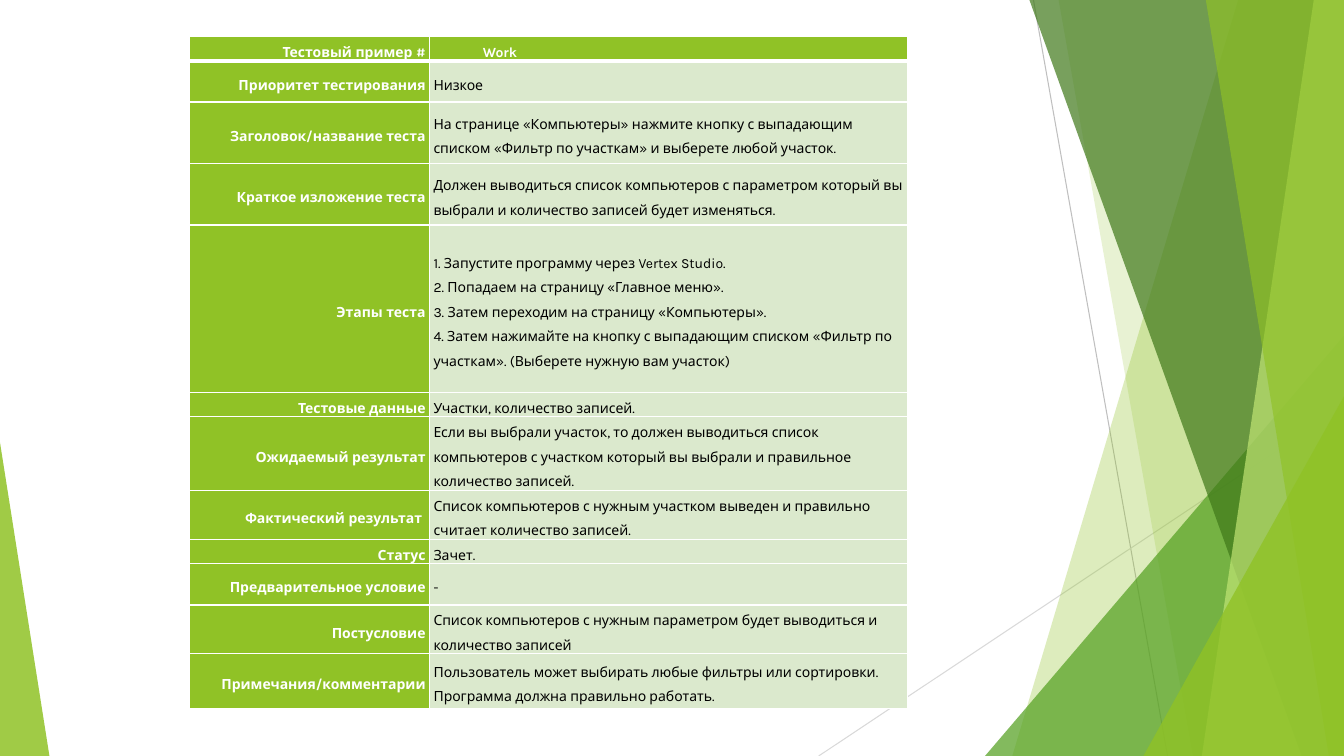
from lxml.etree import SubElement
from pptx import Presentation
from pptx.dml.color import RGBColor
from pptx.enum.shapes import MSO_CONNECTOR as CONNECTOR, MSO_SHAPE as SHAPE
from pptx.enum.text import MSO_ANCHOR as ANCHOR, PP_ALIGN as ALIGN
from pptx.oxml.ns import qn
from pptx.util import Inches, Pt

WIDTH, HEIGHT = 13.33, 7.5
COLORS = {
    "green": "90C226", "leaf": "54A021", "forest": "3F7819", "lime": "C0E474",
    "pale": "DBE9CD", "white": "FFFFFF", "black": "000000",
    "gray": "BFBFBF", "silver": "D9D9D9",
}
LABEL = {"fill": "green", "color": "white", "bold": True, "align": ALIGN.RIGHT, "indent": 0.17}
HEADER = {"fill": "green", "color": "white", "bold": True, "align": ALIGN.LEFT, "indent": 0.49}
VALUE = {"fill": "pale", "color": "black", "bold": False, "align": ALIGN.LEFT, "indent": 0}
CELL_FORMAT = {
    "vertical_anchor": ANCHOR.MIDDLE, "margin_left": Inches(0.04),
    "margin_right": Inches(0.04), "margin_top": 0, "margin_bottom": 0,
}
COLUMN_WIDTHS = [2.38, 4.74]
TEST_CASE = [
    (0.21, "Тестовый пример #", "Work"),
    (0.41, "Приоритет тестирования", "Низкое"),
    (0.61, "Заголовок/название теста",
     "На странице «Компьютеры» нажмите кнопку с выпадающим списком "
     "«Фильтр по участкам» и выберете любой участок."),
    (0.61, "Краткое изложение теста",
     "Должен выводиться список компьютеров с параметром который вы выбрали "
     "и количество записей будет изменяться."),
    (1.66, "Этапы теста",
     "1. Запустите программу через Vertex Studio.\n"
     "2. Попадаем на страницу «Главное меню».\n"
     "3. Затем переходим на страницу «Компьютеры».\n"
     "4. Затем нажимайте на кнопку с выпадающим списком «Фильтр по участкам». "
     "(Выберете нужную вам участок)"),
    (0.21, "Тестовые данные", "Участки, количество записей."),
    (0.61, "Ожидаемый результат",
     "Если вы выбрали участок, то должен выводиться список компьютеров "
     "с участком который вы выбрали и правильное количество записей."),
    (0.41, "Фактический результат ",
     "Список компьютеров с нужным участком выведен и правильно считает "
     "количество записей."),
    (0.21, "Статус", "Зачет."),
    (0.41, "Предварительное условие", "-"),
    (0.41, "Постусловие",
     "Список компьютеров с нужным параметром будет выводиться и количество записей"),
    (0.54, "Примечания/комментарии",
     "Пользователь может выбирать любые фильтры или сортировки. "
     "Программа должна правильно работать."),
]


def rgb(name):
    """Return the named colour."""
    return RGBColor.from_string(COLORS[name])


def paint(shape, color, opacity):
    """Give a shape a translucent fill without outline or shadow."""
    shape.shadow.inherit = False
    shape.line.fill.background()
    shape.fill.solid()
    shape.fill.fore_color.rgb = rgb(color)
    tint = shape.fill._xPr.find(qn("a:solidFill"))[0]
    SubElement(tint, qn("a:alpha"), val=str(opacity * 1000))


def add_line(slide, start, end, color):
    """Draw a thin straight line."""
    points = [Inches(value) for value in (*start, *end)]
    line = slide.shapes.add_connector(CONNECTOR.STRAIGHT, *points)
    line.line.color.rgb = rgb(color)
    line.line.width = Pt(0.75)
    SubElement(line._element.spPr, qn("a:effectLst"))


def add_band(slide, top_x, bottom_x, color, opacity):
    """Draw a full-height band from a slanted left edge to the right of the slide."""
    corners = [(WIDTH, 0), (WIDTH, HEIGHT), (bottom_x, HEIGHT)]
    builder = slide.shapes.build_freeform(Inches(top_x), 0)
    builder.add_line_segments([(Inches(x), Inches(y)) for x, y in corners])
    paint(builder.convert_to_shape(), color, opacity)


def add_triangle(slide, left, top, width, apex, color, opacity):
    """Draw a triangle that stands on the bottom edge of the slide."""
    box = [Inches(value) for value in (left, top, width, HEIGHT - top)]
    triangle = slide.shapes.add_shape(SHAPE.ISOSCELES_TRIANGLE, *box)
    triangle.adjustments[0] = apex
    paint(triangle, color, opacity)


def add_borders(cell, bottom_width):
    """Outline a cell in white."""
    widths = {"a:lnL": 1, "a:lnR": 1, "a:lnT": 1, "a:lnB": bottom_width}
    for tag, width in widths.items():
        border = SubElement(cell._tc.get_or_add_tcPr(), qn(tag), w=str(Pt(width)))
        fill = SubElement(border, qn("a:solidFill"))
        SubElement(fill, qn("a:srgbClr"), val=COLORS["white"])


def fill_cell(cell, text, style, bottom_width):
    """Write and format one table cell."""
    for name, value in CELL_FORMAT.items():
        setattr(cell, name, value)
    add_borders(cell, bottom_width)
    cell.fill.solid()
    cell.fill.fore_color.rgb = rgb(style["fill"])
    cell.text_frame.text = text
    font_format = {"name": "Karla", "size": Pt(10), "bold": style["bold"]}
    for paragraph in cell.text_frame.paragraphs:
        paragraph.alignment = style["align"]
        paragraph.line_spacing = 1.5
        paragraph._p.get_or_add_pPr().set("indent", str(Inches(style["indent"])))
        font = paragraph.runs[0].font
        for name, value in font_format.items():
            setattr(font, name, value)
        font.color.rgb = rgb(style["color"])


def add_test_table(slide):
    """Add the table that describes the test case."""
    size = (sum(COLUMN_WIDTHS), sum(row[0] for row in TEST_CASE))
    box = [Inches(value) for value in (1.88, 0.36, *size)]
    table = slide.shapes.add_table(len(TEST_CASE), len(COLUMN_WIDTHS), *box).table
    table.horz_banding = False
    for column, width in zip(table.columns, COLUMN_WIDTHS):
        column.width = Inches(width)
    for index, (height, label, value) in enumerate(TEST_CASE):
        table.rows[index].height = Inches(height)
        bottom_width = 1 if index else 3
        fill_cell(table.cell(index, 0), label, LABEL, bottom_width)
        fill_cell(table.cell(index, 1), value, VALUE if index else HEADER, bottom_width)


def add_decoration(slide):
    """Draw the green facets along the slide edges."""
    add_line(slide, (10.25, 0), (11.58, HEIGHT), "gray")
    add_line(slide, (WIDTH, 4.03), (8.12, HEIGHT), "silver")
    add_band(slide, 12.28, 10.04, "green", 30)
    add_band(slide, 10.5, 11.83, "green", 20)
    add_triangle(slide, 9.77, 3.33, 3.56, 1, "leaf", 72)
    add_band(slide, 10.21, 12.91, "forest", 70)
    add_band(slide, 13.03, 11.92, "lime", 70)
    add_band(slide, 11.96, 13.18, "green", 65)
    add_triangle(slide, 11.34, 3.93, 1.99, 1, "green", 80)
    add_triangle(slide, 0, 4.39, 0.49, 0, "green", 85)


def main():
    """Build and save the test case slide."""
    presentation = Presentation()
    presentation.slide_width = Inches(WIDTH)
    presentation.slide_height = Inches(HEIGHT)
    slide = presentation.slides.add_slide(presentation.slide_layouts[6])
    add_decoration(slide)
    add_test_table(slide)
    presentation.save("out.pptx")


if __name__ == "__main__":
    main()
